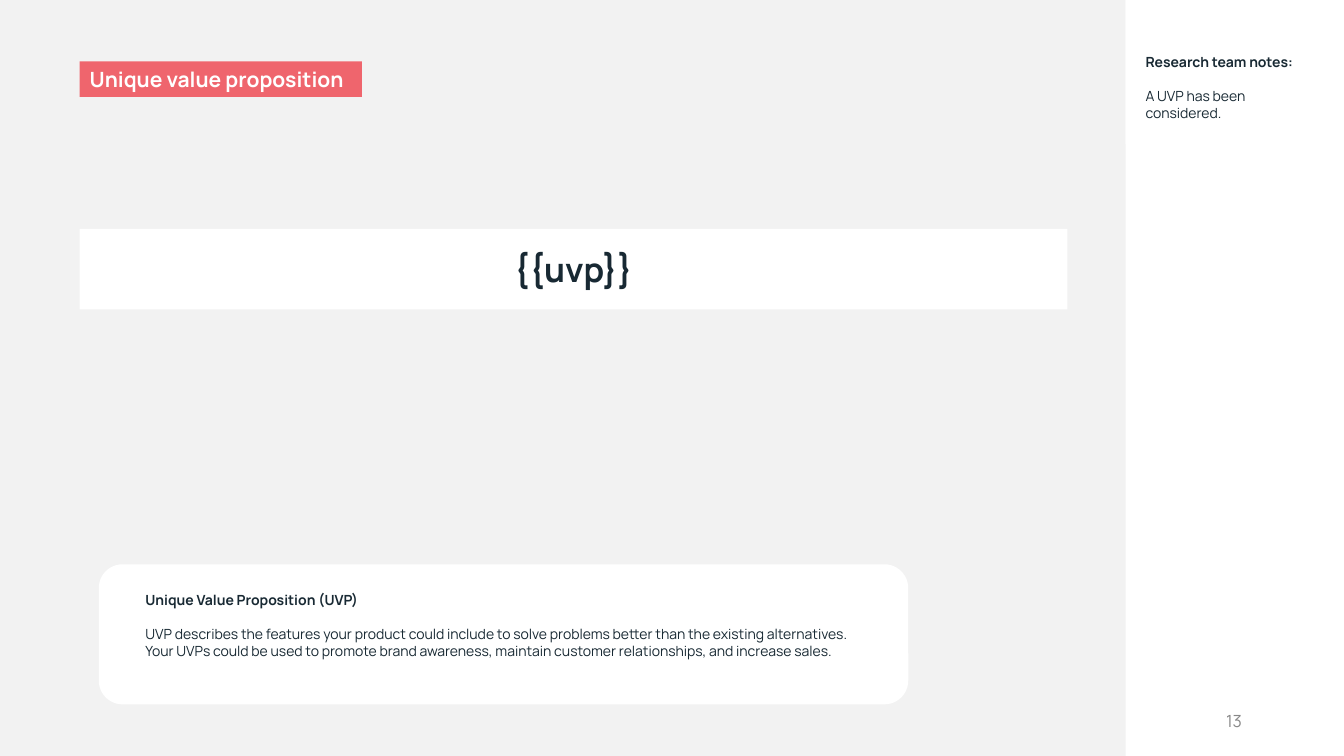
import pptx
import pptx.dml.color
import pptx.enum.shapes
import pptx.enum.text
import pptx.util

Cm = pptx.util.Cm
Pt = pptx.util.Pt
SHAPES = pptx.enum.shapes.MSO_SHAPE
ALIGN = pptx.enum.text.PP_ALIGN
ANCHOR = pptx.enum.text.MSO_ANCHOR

INK, WHITE, GREY, CORAL, BACKGROUND = "182933", "FFFFFF", "888888", "EF656D", "F2F2F2"


def color(value):
    return pptx.dml.color.RGBColor.from_string(value)


class SlideBuilder:
    font = "Manrope"

    def __init__(self, presentation):
        self.slide = presentation.slides.add_slide(presentation.slide_layouts[6])
        self.slide.background.fill.solid()
        self.slide.background.fill.fore_color.rgb = color(BACKGROUND)

    def box(self, left, top, width, height, fill=WHITE, kind=SHAPES.RECTANGLE):
        shape = self.slide.shapes.add_shape(kind, Cm(left), Cm(top), Cm(width), Cm(height))
        shape.shadow.inherit = False
        shape.fill.solid()
        shape.fill.fore_color.rgb = color(fill)
        shape.line.fill.background()
        return shape

    def text_box(self, left, top, width, height):
        return self.slide.shapes.add_textbox(Cm(left), Cm(top), Cm(width), Cm(height))

    def set_text(self, shape, lines, size=10, ink=INK, align=ALIGN.LEFT,
                 anchor=ANCHOR.TOP, insets=(0.25, 0.13), heading=True):
        """Fill a shape with lines; the first is bold when it is a heading."""
        frame = shape.text_frame
        frame.word_wrap = True
        frame.vertical_anchor = anchor
        frame.margin_left = frame.margin_right = Cm(insets[0])
        frame.margin_top = frame.margin_bottom = Cm(insets[1])
        frame.text = "\n".join(lines)
        for index, paragraph in enumerate(frame.paragraphs):
            paragraph.alignment = align
            if index:
                paragraph.space_before = Pt(12.5)
            for run in paragraph.runs:
                run.font.name = self.font
                run.font.size = Pt(size)
                run.font.bold = heading and index == 0
                run.font.color.rgb = color(ink)


def main():
    presentation = pptx.Presentation()
    presentation.slide_width = Cm(33.87)
    presentation.slide_height = Cm(19.05)
    builder = SlideBuilder(presentation)

    builder.box(28.37, 0, 5.5, 19.05)

    page_number = builder.text_box(23.93, 17.65, 7.62, 1.02)
    builder.set_text(page_number, ["13"], 12, GREY, ALIGN.RIGHT, ANCHOR.MIDDLE, heading=False)

    notes = builder.box(28.37, 0, 5.31, 3.63)
    builder.set_text(notes, ["Research team notes:", "A UVP has been considered."],
                     insets=(0.5, 0.5))
    notes.text_frame.margin_top = Cm(1.35)

    proposition = builder.box(2.01, 5.77, 24.89, 2.03)
    builder.set_text(proposition, ["{{uvp}}"], 24, align=ALIGN.CENTER, insets=(1, 0.5))

    title = builder.box(2.01, 1.55, 7.11, 0.89, CORAL)
    builder.set_text(title, ["Unique value proposition"], 15, WHITE)

    definition = builder.box(2.49, 14.22, 20.4, 3.53, kind=SHAPES.ROUNDED_RECTANGLE)
    definition.adjustments[0] = 0.17
    builder.set_text(definition, [
        "Unique Value Proposition (UVP)",
        "UVP describes the features your product could include to solve problems better "
        "than the existing alternatives. Your UVPs could be used to promote brand "
        "awareness, maintain customer relationships, and increase sales.",
    ], insets=(1, 0.5))

    presentation.save("out.pptx")


if __name__ == "__main__":
    main()
